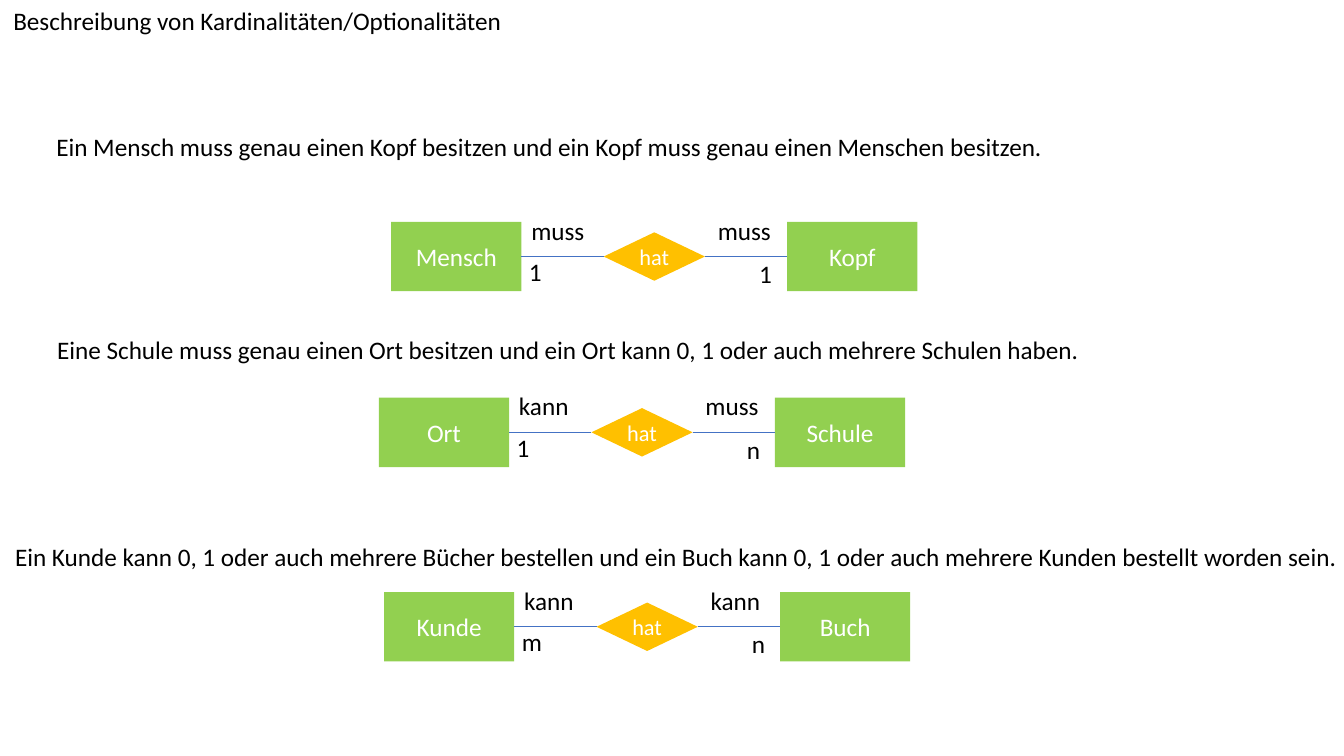
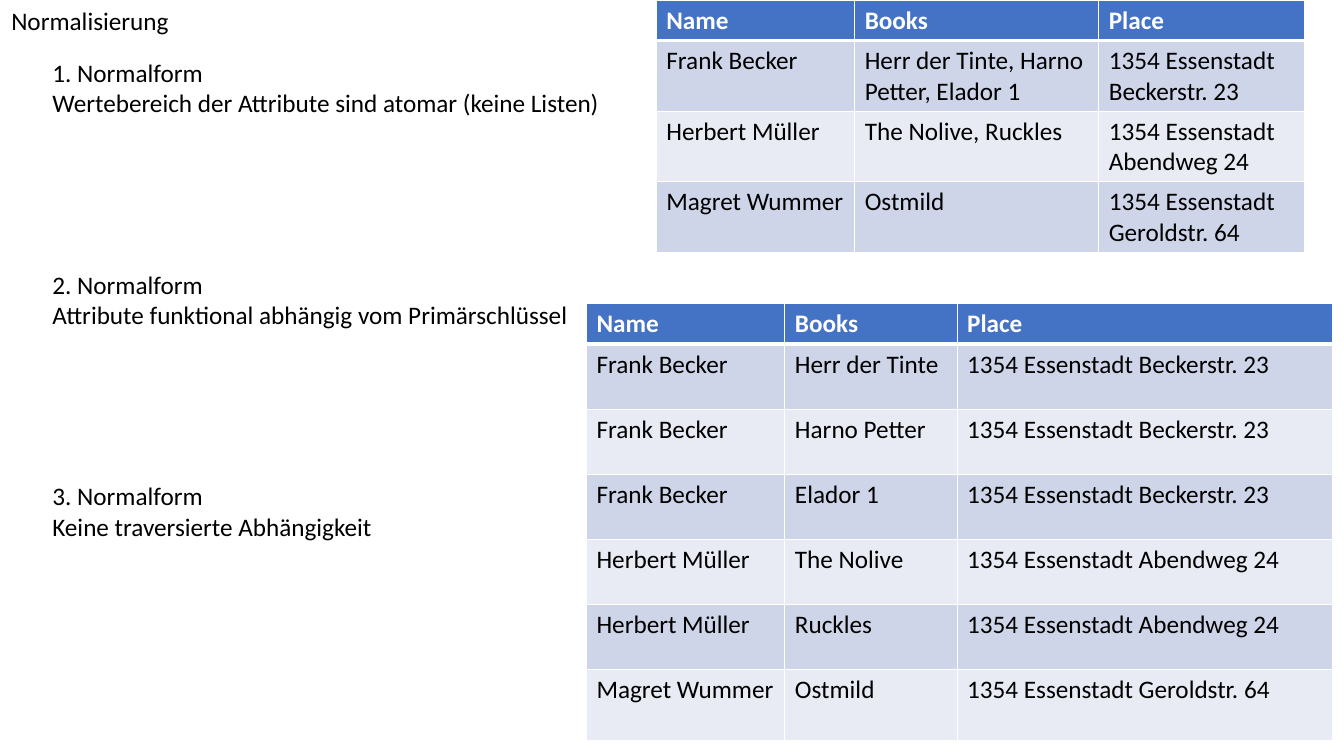
from dataclasses import dataclass

from lxml.etree import SubElement
from pptx import Presentation
from pptx.dml.color import RGBColor
from pptx.enum.shapes import MSO_CONNECTOR as Connector, MSO_SHAPE as Shape
from pptx.enum.text import MSO_ANCHOR as Anchor, MSO_AUTO_SIZE as AutoSize, PP_ALIGN as Align
from pptx.oxml.ns import qn
from pptx.util import Cm, Pt


@dataclass(frozen=True)
class Theme:
    """Colours, font and type sizes shared by all slides."""
    font: str = "Calibri"
    body: int = 18
    small: int = 16
    text: str = "000000"
    light: str = "FFFFFF"
    entity: str = "92D050"
    relation: str = "FFC000"
    accent: str = "4472C4"
    bands: tuple = ("CFD5E9", "E8EBF4")
    link_width: float = 0.75
    border: float = 0.96
    header_border: float = 3


THEME = Theme()
TITLE_ONLY = 5
LINE_HEIGHT = 1.02
ENTITY_WIDTH, ENTITY_HEIGHT = 3.28, 1.75
ENTITY_PITCH = 9.98
RELATION_WIDTH, RELATION_HEIGHT = 2.55, 1.22
LABEL_WIDTHS = {"muss": 1.85, "kann": 1.75, "1": 0.81, "n": 0.84, "m": 1.02}


def colour(code):
    """Turn a hex code into a colour."""
    return RGBColor.from_string(code)


def write(frame, *lines, size=THEME.body, ink=THEME.text, bold=False, align=Align.LEFT,
          anchor=Anchor.TOP, wrap=True, grow=False, gaps=()):
    """Fill a text frame with formatted lines; gaps maps line numbers to space before."""
    frame.word_wrap = wrap
    frame.vertical_anchor = anchor
    if grow:
        frame.auto_size = AutoSize.SHAPE_TO_FIT_TEXT
    frame.text = "\n".join(lines)
    for number, paragraph in enumerate(frame.paragraphs):
        paragraph.alignment = align
        paragraph.line_spacing = 1
        paragraph.space_before = Pt(dict(gaps).get(number, 0))
        font = paragraph.runs[0].font
        font.name, font.size, font.bold = THEME.font, Pt(size), bold
        font.color.rgb = colour(ink)


def add_titled_slide(deck, heading, left, width):
    """Add a slide whose title sits in the top left corner."""
    slide = deck.slides.add_slide(deck.slide_layouts[TITLE_ONLY])
    title = slide.shapes.title
    title.left, title.top, title.width, title.height = Cm(left), 0, Cm(width), Cm(LINE_HEIGHT)
    write(title.text_frame, heading, grow=True)
    return slide


def add_text(slide, left, top, width, *lines, height=LINE_HEIGHT, **style):
    """Add an unwrapped text box."""
    box = slide.shapes.add_textbox(Cm(left), Cm(top), Cm(width), Cm(height))
    write(box.text_frame, *lines, wrap=False, grow=True, **style)


def add_node(slide, kind, left, top, width, height, label, fill, size=THEME.body):
    """Add a filled diagram node with a centred label."""
    node = slide.shapes.add_shape(kind, Cm(left), Cm(top), Cm(width), Cm(height))
    node.shadow.inherit = False
    node.fill.solid()
    node.fill.fore_color.rgb = colour(fill)
    node.line.fill.background()
    write(node.text_frame, label, size=size, ink=THEME.light, align=Align.CENTER,
          anchor=Anchor.MIDDLE)
    return node


def add_link(slide, start, end):
    """Join the right side of one node to the left side of the next."""
    link = slide.shapes.add_connector(Connector.STRAIGHT, 0, 0, 0, 0)
    link.begin_connect(start, 3)
    link.end_connect(end, 1)
    link.line.color.rgb = colour(THEME.accent)
    link.line.width = Pt(THEME.link_width)
    SubElement(link._element.spPr, qn("a:effectLst"))


def add_relationship(slide, left, top, entities, options, cardinalities):
    """Draw two entities joined by a relation, with options above and cardinalities below."""
    first, second = (
        add_node(slide, Shape.RECTANGLE, left + i * ENTITY_PITCH, top, ENTITY_WIDTH,
                 ENTITY_HEIGHT, name, THEME.entity)
        for i, name in enumerate(entities))
    relation = add_node(
        slide, Shape.DIAMOND, left + (ENTITY_PITCH + ENTITY_WIDTH - RELATION_WIDTH) / 2,
        top + (ENTITY_HEIGHT - RELATION_HEIGHT) / 2, RELATION_WIDTH, RELATION_HEIGHT,
        "hat", THEME.relation, THEME.small)
    add_link(slide, first, relation)
    add_link(slide, relation, second)
    offsets = ((3.28, -0.3), (7.98, -0.3), (3.22, 0.74), (9.02, 0.79))
    for label, (across, down) in zip(options + cardinalities, offsets):
        add_text(slide, left + across, top + down, LABEL_WIDTHS[label], label)


def set_borders(cell, **widths):
    """Draw the borders of a cell in the light colour."""
    properties = cell._tc.get_or_add_tcPr()
    for side in "LRTB":
        width = Pt(widths.get(side, THEME.border))
        line = SubElement(properties, qn(f"a:ln{side}"), w=str(int(width)))
        SubElement(SubElement(line, qn("a:solidFill")), qn("a:srgbClr"), val=THEME.light)


def add_book_table(slide, left, top, widths, heights, rows):
    """Add a banded table of readers, books and places."""
    records = [("Name", "Books", "Place"), *rows]
    table = slide.shapes.add_table(len(records), len(widths), Cm(left), Cm(top),
                                   Cm(sum(widths)), Cm(sum(heights))).table
    for column, width in zip(table.columns, widths):
        column.width = Cm(width)
    for number, (record, height) in enumerate(zip(records, heights)):
        table.rows[number].height = Cm(height)
        header = number == 0
        edges = {0: {"B": THEME.header_border}, 1: {"T": THEME.header_border}}.get(number, {})
        for cell, entry in zip(table.rows[number].cells, record):
            set_borders(cell, **edges)
            cell.fill.solid()
            cell.fill.fore_color.rgb = colour(
                THEME.accent if header else THEME.bands[(number - 1) % 2])
            write(cell.text_frame, entry, bold=header,
                  ink=THEME.light if header else THEME.text)


def build_cardinalities(deck):
    """Build the slide on cardinalities and optionalities."""
    slide = add_titled_slide(deck, "Beschreibung von Kardinalitäten/Optionalitäten", 0.08, 13.6)
    add_text(slide, 1.17, 3.18, 25.4, "Ein Mensch muss genau einen Kopf besitzen und "
             "ein Kopf muss genau einen Menschen besitzen.")
    add_text(slide, 1.19, 8.31, 26.29, "Eine Schule muss genau einen Ort besitzen und "
             "ein Ort kann 0, 1 oder auch mehrere Schulen haben.")
    add_text(slide, 0.13, 13.51, 33.88, "Ein Kunde kann 0, 1 oder auch mehrere Bücher bestellen "
             "und ein Buch kann 0, 1 oder auch mehrere Kunden bestellt worden sein.")
    add_relationship(slide, 9.86, 5.59, ("Mensch", "Kopf"), ("muss", "muss"), ("1", "1"))
    add_relationship(slide, 9.55, 10.02, ("Ort", "Schule"), ("kann", "muss"), ("1", "n"))
    add_relationship(slide, 9.68, 14.92, ("Kunde", "Buch"), ("kann", "kann"), ("m", "n"))


def build_normalisation(deck):
    """Build the slide on the normal forms."""
    slide = add_titled_slide(deck, "Normalisierung", 0.03, 5)
    add_text(slide, 1.07, 1.32, 14.5,
             "1. Normalform", "Wertebereich der Attribute sind atomar (keine Listen)",
             "2. Normalform", "Attribute funktional abhängig vom Primärschlüssel",
             "3. Normalform", "Keine traversierte Abhängigkeit",
             height=16.26, gaps={2: 108, 4: 108})
    readers = (
        ("Frank Becker", "1354 Essenstadt Beckerstr. 23",
         ("Herr der Tinte", "Harno Petter", "Elador 1")),
        ("Herbert Müller", "1354 Essenstadt Abendweg 24", ("The Nolive", "Ruckles")),
        ("Magret Wummer", "1354 Essenstadt Geroldstr. 64", ("Ostmild",)),
    )
    add_book_table(slide, 16.54, 0, (5, 6.15, 5.18), (1.02, *[1.78] * 3),
                   [(name, ", ".join(books), place) for name, place, books in readers])
    add_book_table(slide, 14.78, 7.65, (5, 4.34, 9.47), (1.02, *[1.64] * 5, 1.78),
                   [(name, book, place) for name, place, books in readers for book in books])


def main():
    """Build and save the presentation."""
    deck = Presentation()
    deck.slide_width, deck.slide_height = Cm(33.87), Cm(19.05)
    build_cardinalities(deck)
    build_normalisation(deck)
    deck.save("out.pptx")


if __name__ == "__main__":
    main()
